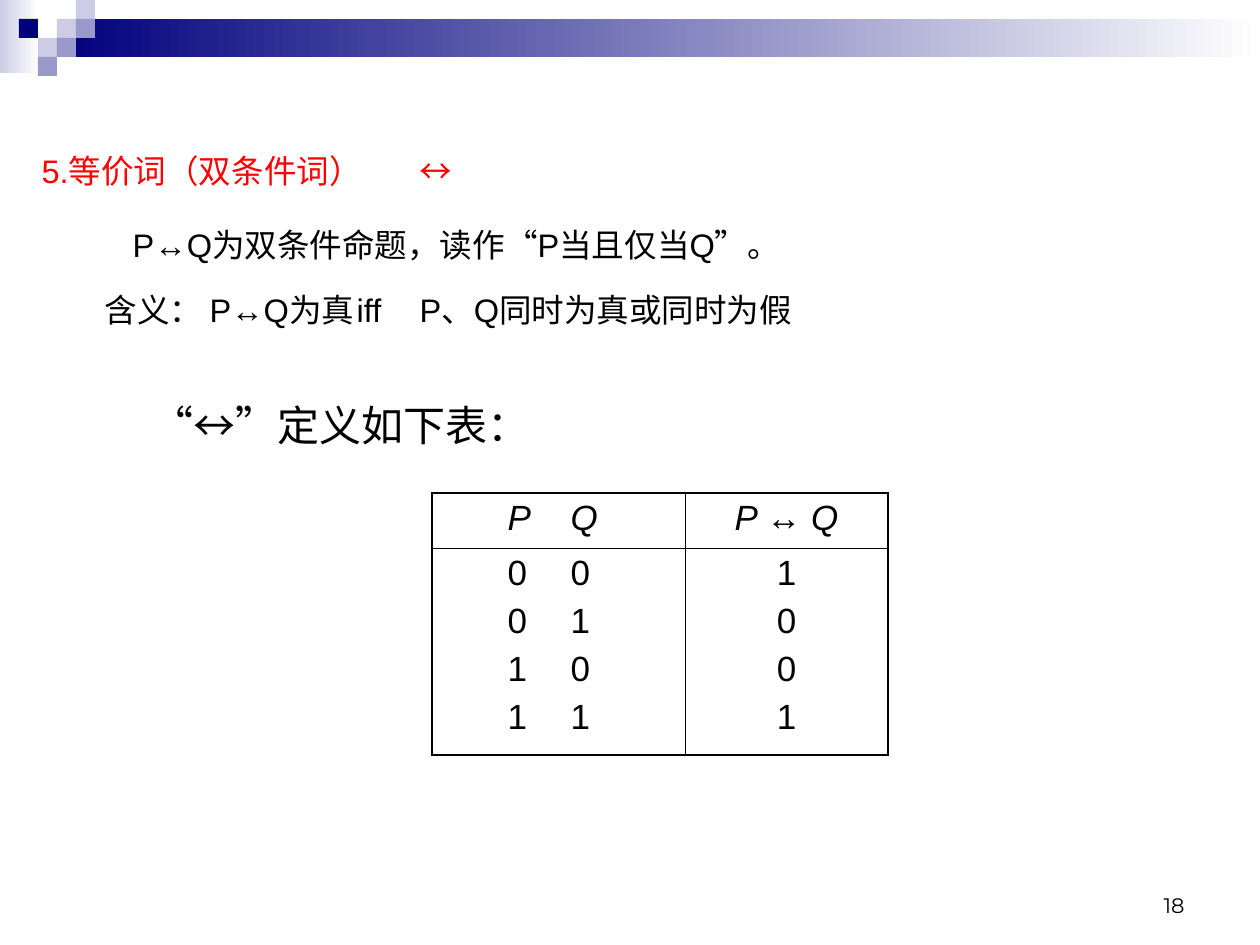
from lxml.etree import SubElement
from pptx import Presentation
from pptx.dml.color import RGBColor
from pptx.enum.shapes import MSO_SHAPE as SHAPE
from pptx.enum.text import MSO_ANCHOR as ANCHOR, MSO_AUTO_SIZE as AUTO, PP_ALIGN as ALIGN
from pptx.oxml.ns import qn
from pptx.util import Emu, Pt

SCALE = 914400 / 126
COLORS = {"black": "000000", "red": "FF0000", "white": "FFFFFF",
          "navy": "00007D", "mid": "9999CC", "pale": "CCCCE6"}
SQUARE = 19
THICK, THIN = 1.08, 0.45


def px(n):
    return Emu(round(n * SCALE))


def rgb(name):
    return RGBColor.from_string(COLORS[name])


class SlideBuilder:
    def __init__(self, slide, font="Arial"):
        self.slide = slide
        self.font = font

    def rect(self, x, y, w, h, color, fade_to=None):
        sp = self.slide.shapes.add_shape(SHAPE.RECTANGLE, px(x), px(y), px(w), px(h))
        sp.shadow.inherit = False
        sp.line.fill.background()
        if fade_to:
            sp.fill.gradient()
            sp.fill.gradient_angle = 0
            for stop, name in zip(sp.fill.gradient_stops, (color, fade_to)):
                stop.color.rgb = rgb(name)
        else:
            sp.fill.solid()
            sp.fill.fore_color.rgb = rgb(color)

    def paragraph(self, p, runs, indent=0, tabs=(), tab_align="l",
                  before=0, align=ALIGN.LEFT, color="black", **font):
        """Fill p with runs: a string, or (text, italic) pairs."""
        pPr = p._p.get_or_add_pPr()
        pPr.set("marL", str(px(indent)))
        pPr.set("indent", "0")
        SubElement(pPr, qn("a:buNone"))
        if tabs:
            stops = SubElement(pPr, qn("a:tabLst"))
            for pos in tabs:
                SubElement(stops, qn("a:tab"), pos=str(px(pos)), algn=tab_align)
        p.alignment = align
        p.space_before = Pt(before)
        for text, italic in [(runs, False)] if isinstance(runs, str) else runs:
            r = p.add_run()
            r.text = text
            for key, value in {"name": self.font, "italic": italic, **font}.items():
                setattr(r.font, key, value)
            r.font.color.rgb = rgb(color)

    def paragraphs(self, tf, items):
        """Write each (runs, format) item as one paragraph of tf."""
        for i, (runs, fmt) in enumerate(items):
            self.paragraph(tf.paragraphs[0] if i == 0 else tf.add_paragraph(), runs, **fmt)

    def body(self, x, y, w, h, items):
        sp = self.slide.placeholders[1]
        sp.left, sp.top, sp.width, sp.height = px(x), px(y), px(w), px(h)
        sp.text_frame.auto_size = AUTO.NONE
        self.paragraphs(sp.text_frame, items)

    def text(self, x, y, w, h, text, frame, **fmt):
        tf = self.slide.shapes.add_textbox(px(x), px(y), px(w), px(h)).text_frame
        for key, value in frame.items():
            setattr(tf, key, value)
        self.paragraph(tf.paragraphs[0], text, **fmt)

    def borders(self, cell, widths):
        tcPr = cell._tc.get_or_add_tcPr()
        for side, width in zip("LRTB", widths):
            ln = SubElement(tcPr, qn(f"a:ln{side}"), w=str(Pt(width)))
            fill = SubElement(ln, qn("a:solidFill"))
            SubElement(fill, qn("a:srgbClr"), val=COLORS["black"])

    def table(self, x, y, col_widths, row_heights, rows):
        """Draw rows of cells, each cell a list of paragraph items."""
        table = self.slide.shapes.add_table(
            len(rows), len(col_widths), px(x), px(y),
            px(sum(col_widths)), px(sum(row_heights))).table
        table.first_row = table.horz_banding = False
        for col, width in zip(table.columns, col_widths):
            col.width = px(width)
        for row, height in zip(table.rows, row_heights):
            row.height = px(height)
        last_row, last_col = len(rows) - 1, len(col_widths) - 1
        for i, row in enumerate(rows):
            for j, items in enumerate(row):
                cell = table.cell(i, j)
                outer = (j == 0, j == last_col, i == 0, i == last_row)
                self.borders(cell, [THICK if edge else THIN for edge in outer])
                cell.fill.background()
                self.paragraphs(cell.text_frame, items)


def main():
    prs = Presentation()
    prs.slide_width, prs.slide_height = px(1260), px(945)
    slide = prs.slides.add_slide(prs.slide_layouts[1])
    title = slide.shapes.title.element
    title.getparent().remove(title)
    s = SlideBuilder(slide)

    s.rect(0, 0, 39, 73, "pale", fade_to="white")
    s.rect(3 * SQUARE, SQUARE, 1260 - 3 * SQUARE, 2 * SQUARE, "navy", fade_to="white")
    for col, row, color in [(3, 1, "pale"), (4, 0, "pale"), (4, 1, "mid"), (2, 2, "pale"),
                            (1, 1, "navy"), (3, 2, "mid"), (2, 3, "mid")]:
        s.rect(col * SQUARE, row * SQUARE, SQUARE, SQUARE, color)

    s.text(903, 861, 294, 63, "18", {"word_wrap": True, "vertical_anchor": ANCHOR.BOTTOM},
           align=ALIGN.RIGHT, name="Montserrat", size=Pt(12))

    size = Pt(18.6)
    s.body(29, 145, 1196, 238, [
        ("5.等价词（双条件词）\t↔", {"tabs": [341], "color": "red", "size": size}),
        ("P↔Q为双条件命题，读作“P当且仅当Q”。", {"indent": 91, "before": 19.5, "size": size}),
        ("\t含义： P↔Q为真\tiff\tP、Q同时为真或同时为假",
         {"tabs": [73, 360, 411], "before": 15, "size": size}),
    ])

    inputs = {"tabs": [36, 192], "tab_align": "ctr", "size": Pt(20)}
    result = {"align": ALIGN.CENTER, "size": Pt(20)}
    truth = [(p, q, int(p == q)) for p in (0, 1) for q in (0, 1)]
    gaps = [0, 5, 5, 5]
    s.table(432, 493, [253, 203], [55, 207], [
        [[([("\tP\tQ", True)], inputs)],
         [([("P ", True), ("↔", False), (" Q", True)], result)]],
        [[(f"\t{p}\t{q}", {**inputs, "before": gap}) for (p, q, _), gap in zip(truth, gaps)],
         [(str(value), {**result, "before": gap}) for (_, _, value), gap in zip(truth, gaps)]],
    ])

    s.text(127, 393, 413, 63, "“↔”定义如下表：",
           {"word_wrap": False, "auto_size": AUTO.SHAPE_TO_FIT_TEXT}, indent=12, size=Pt(24))
    prs.save("out.pptx")


if __name__ == "__main__":
    main()
